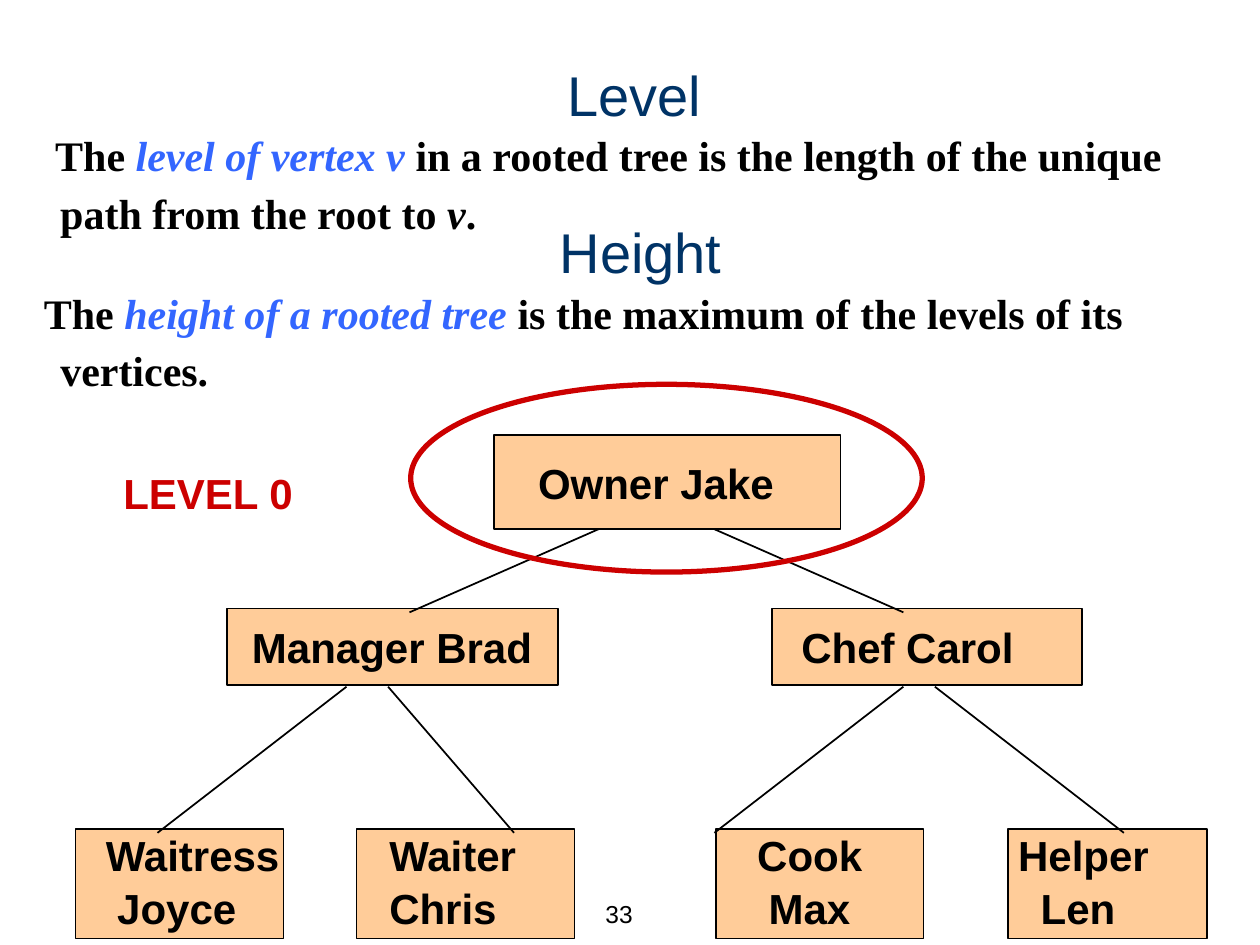
import pptx
import pptx.util
import pptx.dml.color
import pptx.enum.shapes
import pptx.enum.text
import lxml.etree

Inches = pptx.util.Inches
Pt = pptx.util.Pt
ALIGN = pptx.enum.text.PP_ALIGN
ANCHOR = pptx.enum.text.MSO_ANCHOR
SHAPE = pptx.enum.shapes.MSO_SHAPE
COLORS = {name: pptx.dml.color.RGBColor.from_string(value) for name, value in {
    "black": "000000", "navy": "003366", "blue": "3366FF",
    "red": "CC0000", "peach": "FFCC99"}.items()}


def add_run(p, text, size, color="black", bold=False, italic=False, font="Arial"):
    r = p.add_run()
    r.text = text
    r.font.name = font
    r.font.size = Pt(size)
    r.font.bold = bold
    r.font.italic = italic
    r.font.color.rgb = COLORS[color]


def add_text(s, x, y, w, h, anchor=ANCHOR.TOP, align=ALIGN.LEFT):
    tf = s.shapes.add_textbox(Inches(x), Inches(y), Inches(w), Inches(h)).text_frame
    tf.word_wrap = True
    tf.vertical_anchor = anchor
    p = tf.paragraphs[0]
    p.alignment = align
    return tf, p


prs = pptx.Presentation()
prs.slide_width = Inches(10)
prs.slide_height = Inches(7.5)
s = prs.slides.add_slide(prs.slide_layouts[6])

tf, p = add_text(s, 4.45, 7, 0.67, 0.5, ANCHOR.MIDDLE, ALIGN.RIGHT)
add_run(p, "33", 14)

for text, x, y in [("Level", 0.42, 0.39), ("Height", 0.47, 1.64)]:
    tf, p = add_text(s, x, y, 9.23, 0.67, ANCHOR.BOTTOM, ALIGN.CENTER)
    add_run(p, text, 32, "navy")

definitions = [
    (0.97, 10, -0.04, [
        ("The ", "black", False),
        ("level of vertex v ", "blue", True),
        ("in a rooted tree is the length of the unique path from the root to ", "black", False),
        ("v", "black", True),
        (".", "black", False)]),
    (2.22, 9.38, -0.13, [
        ("The ", "black", False),
        ("height of a rooted tree ", "blue", True),
        ("is the maximum of the levels of its vertices.", "black", False)]),
]
for y, w, indent, runs in definitions:
    tf, p = add_text(s, 0, y, w, 0.92)
    tf.margin_top = tf.margin_bottom = 0
    pPr = p._p.get_or_add_pPr()
    pPr.set("marL", str(Inches(0.38)))
    pPr.set("indent", str(Inches(indent)))
    p.line_spacing = Pt(33)
    for text, color, italic in runs:
        add_run(p, text, 24, color, True, italic, "Times New Roman")

people = [
    (0.6, 6.58, 1.65, 0.87, 0.24, 0, [("Waitress", 0), ("Joyce", 0.09)]),
    (2.83, 6.58, 1.73, 0.87, 0.26, 0, [("Waiter", 0), ("Chris", 0)]),
    (5.68, 6.58, 1.65, 0.87, 0.33, 0, [("Cook", 0), ("Max", 0.09)]),
    (8, 6.58, 1.58, 0.87, 0.08, 0, [("Helper", 0), ("Len", 0.18)]),
    (3.92, 3.45, 2.75, 0.75, 0.35, 0.18, [("Owner Jake", 0)]),
    (1.8, 4.83, 2.63, 0.61, 0.2, 0.1, [("Manager Brad", 0)]),
    (6.13, 4.83, 2.46, 0.61, 0.23, 0.1, [("Chef Carol", 0)]),
]
for x, y, w, h, left, top, lines in people:
    sp = s.shapes.add_shape(SHAPE.RECTANGLE, Inches(x), Inches(y), Inches(w), Inches(h))
    sp.shadow.inherit = False
    sp.fill.solid()
    sp.fill.fore_color.rgb = COLORS["peach"]
    sp.line.color.rgb = COLORS["black"]
    sp.line.width = Pt(1)
    tf = sp.text_frame
    tf.word_wrap = True
    tf.vertical_anchor = ANCHOR.TOP
    tf.margin_left = Inches(left)
    tf.margin_top = Inches(top)
    tf.margin_right = tf.margin_bottom = 0
    for i, (text, indent) in enumerate(lines):
        p = tf.add_paragraph() if i else tf.paragraphs[0]
        p.alignment = ALIGN.LEFT
        p._p.get_or_add_pPr().set("marL", str(Inches(indent)))
        if i:
            p.space_before = Pt(1.5)
        add_run(p, text, 24, bold=True)

branches = [
    (4.2, 4.86, [(4.75, 3.25), (5.67, 7.17)]),
    (5.45, 6.61, [(2.75, 1.25), (7.17, 5.67), (3.08, 4.08), (7.42, 8.92)]),
]
for y1, y2, ends in branches:
    for x1, x2 in ends:
        line = s.shapes.add_connector(pptx.enum.shapes.MSO_CONNECTOR.STRAIGHT,
                                      Inches(x1), Inches(y1), Inches(x2), Inches(y2))
        line.line.color.rgb = COLORS["black"]
        line.line.width = Pt(1)
        lxml.etree.SubElement(line._element.spPr, pptx.oxml.ns.qn("a:effectLst"))

tf, p = add_text(s, 0.88, 3.66, 1.55, 0.5)
tf.word_wrap = False
add_run(p, "LEVEL 0", 24, "red", True)

sp = s.shapes.add_shape(SHAPE.OVAL, Inches(3.26), Inches(3.05), Inches(4.06), Inches(1.49))
sp.shadow.inherit = False
sp.fill.background()
sp.line.color.rgb = COLORS["red"]
sp.line.width = Pt(3)

prs.save("out.pptx")
